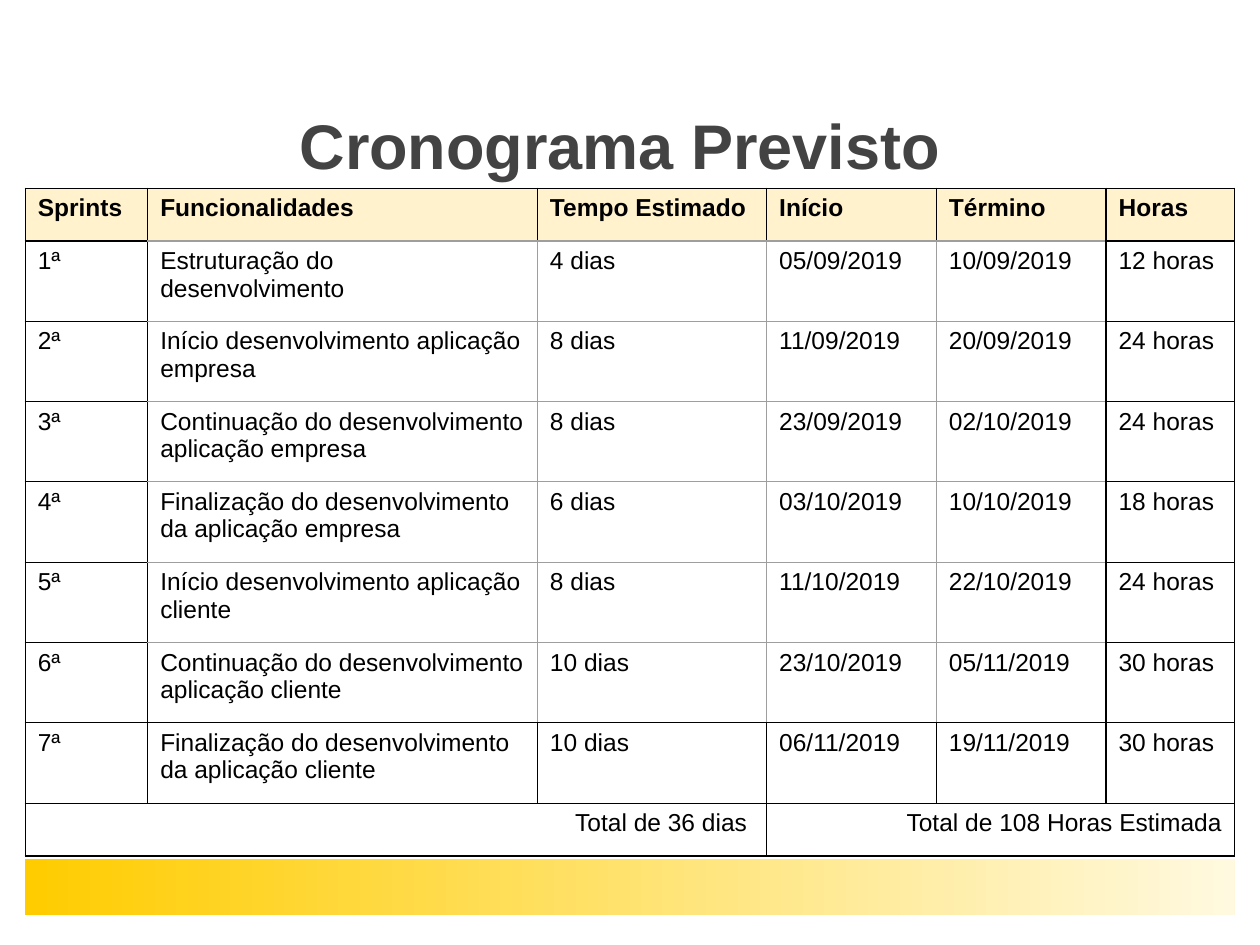
from pptx import Presentation
from pptx.dml.color import RGBColor as RGB
from pptx.enum.shapes import MSO_SHAPE as Shape
from pptx.enum.text import MSO_ANCHOR as Anchor, MSO_AUTO_SIZE as Fit, PP_ALIGN as Align
from pptx.oxml.ns import qn
from pptx.util import Pt
from lxml.etree import SubElement

# Content
TITLE = "Cronograma Previsto"
HEADS = ("Sprints", "Funcionalidades", "Tempo Estimado", "Início", "Término", "Horas")
SPRINTS = [
    ("1ª", "Estruturação do desenvolvimento", "4 dias", "05/09/2019", "10/09/2019", "12 horas"),
    ("2ª", "Início desenvolvimento aplicação empresa", "8 dias", "11/09/2019", "20/09/2019", "24 horas"),
    ("3ª", "Continuação do desenvolvimento aplicação empresa", "8 dias", "23/09/2019", "02/10/2019", "24 horas"),
    ("4ª", "Finalização do desenvolvimento da aplicação empresa", "6 dias", "03/10/2019", "10/10/2019", "18 horas"),
    ("5ª", "Início desenvolvimento aplicação cliente", "8 dias", "11/10/2019", "22/10/2019", "24 horas"),
    ("6ª", "Continuação do desenvolvimento aplicação cliente", "10 dias", "23/10/2019", "05/11/2019", "30 horas"),
    ("7ª", "Finalização do desenvolvimento da aplicação cliente", "10 dias", "06/11/2019", "19/11/2019", "30 horas"),
]
TOTALS = {0: "Total de 36 dias ", 3: "Total de 108 Horas Estimada"}
SPAN = 3

# Theme and layout, in points
THEME = {
    "font": "Arial", "title": 36, "body": 14, "line": 0.75,
    "grey": "434343", "ink": "000000", "soft": "9E9E9E", "head": "FFF2CC",
    "band": ("FFCC00", "FFF9DF"),
}
LEFT, TOP = 14.4, 107.5
COLS = (70, 222.7, 131, 97, 97, 73.5)
ROWS = [30.2] + [45.9] * len(SPRINTS) + [30.2]
WIDE, LAST = len(COLS), len(ROWS) - 1


def write(frame, text, size, color, bold=False, align=Align.LEFT):
    para = frame.paragraphs[0]
    para.alignment = align
    run = para.add_run()
    run.text = text
    font = run.font
    font.name, font.size, font.bold = THEME["font"], Pt(size), bold
    font.color.rgb = RGB.from_string(THEME[color])


def tone_across(edge, col):
    """Tone of the horizontal rule above row number edge."""
    return "soft" if 1 <= edge < LAST - 1 and 1 <= col < WIDE - 1 else "ink"


def tone_down(edge, row):
    """Tone of the vertical rule left of column number edge."""
    return "soft" if 1 <= row < LAST - 1 and 2 <= edge < WIDE - 1 else "ink"


def rule(cell, row, col):
    tones = {
        "a:lnL": tone_down(col, row), "a:lnR": tone_down(col + 1, row),
        "a:lnT": tone_across(row, col), "a:lnB": tone_across(row + 1, col),
    }
    props = cell._tc.get_or_add_tcPr()
    for spot, (tag, tone) in enumerate(tones.items()):
        line = SubElement(props, qn(tag), w=str(Pt(THEME["line"])))
        fill = SubElement(line, qn("a:solidFill"))
        SubElement(fill, qn("a:srgbClr"), val=THEME[tone])
        props.insert(spot, line)


def add_band(slide):
    band = slide.shapes.add_shape(Shape.RECTANGLE, Pt(LEFT), Pt(491), Pt(sum(COLS)), Pt(31.7))
    band.shadow.inherit = False
    band.line.fill.background()
    band.fill.gradient()
    band.fill.gradient_angle = 0
    for stop, color in zip(band.fill.gradient_stops, THEME["band"]):
        stop.color.rgb = RGB.from_string(color)


def set_title(slide):
    title = slide.shapes.title
    title.left, title.top, title.width, title.height = Pt(76.3), Pt(65.5), Pt(555.8), Pt(33.8)
    frame = title.text_frame
    frame.auto_size, frame.word_wrap = Fit.NONE, True
    frame.vertical_anchor = Anchor.MIDDLE
    write(frame, TITLE, THEME["title"], "grey", True, Align.CENTER)


def add_plan(slide):
    table = slide.shapes.add_table(
        len(ROWS), WIDE, Pt(LEFT), Pt(TOP), Pt(sum(COLS)), Pt(sum(ROWS))).table
    table.horz_banding = table.first_row = False
    for col, width in zip(table.columns, COLS):
        col.width = Pt(width)
    for row, height in zip(table.rows, ROWS):
        row.height = Pt(height)

    # Fills and rules
    for r in range(len(ROWS)):
        for c in range(WIDE):
            cell = table.cell(r, c)
            if r == 0:
                cell.fill.solid()
                cell.fill.fore_color.rgb = RGB.from_string(THEME["head"])
            else:
                cell.fill.background()
            rule(cell, r, c)

    # Heads and sprints
    for r, texts in enumerate([HEADS] + SPRINTS):
        for c, text in enumerate(texts):
            write(table.cell(r, c).text_frame, text, THEME["body"], "ink", r == 0)

    # Totals
    for c, text in TOTALS.items():
        cell = table.cell(LAST, c)
        cell.merge(table.cell(LAST, c + SPAN - 1))
        write(cell.text_frame, text, THEME["body"], "ink", align=Align.RIGHT)


def main():
    deck = Presentation()
    deck.slide_width, deck.slide_height = Pt(720), Pt(540)
    slide = deck.slides.add_slide(deck.slide_layouts[5])
    add_band(slide)
    set_title(slide)
    add_plan(slide)
    deck.save("out.pptx")


if __name__ == "__main__":
    main()
